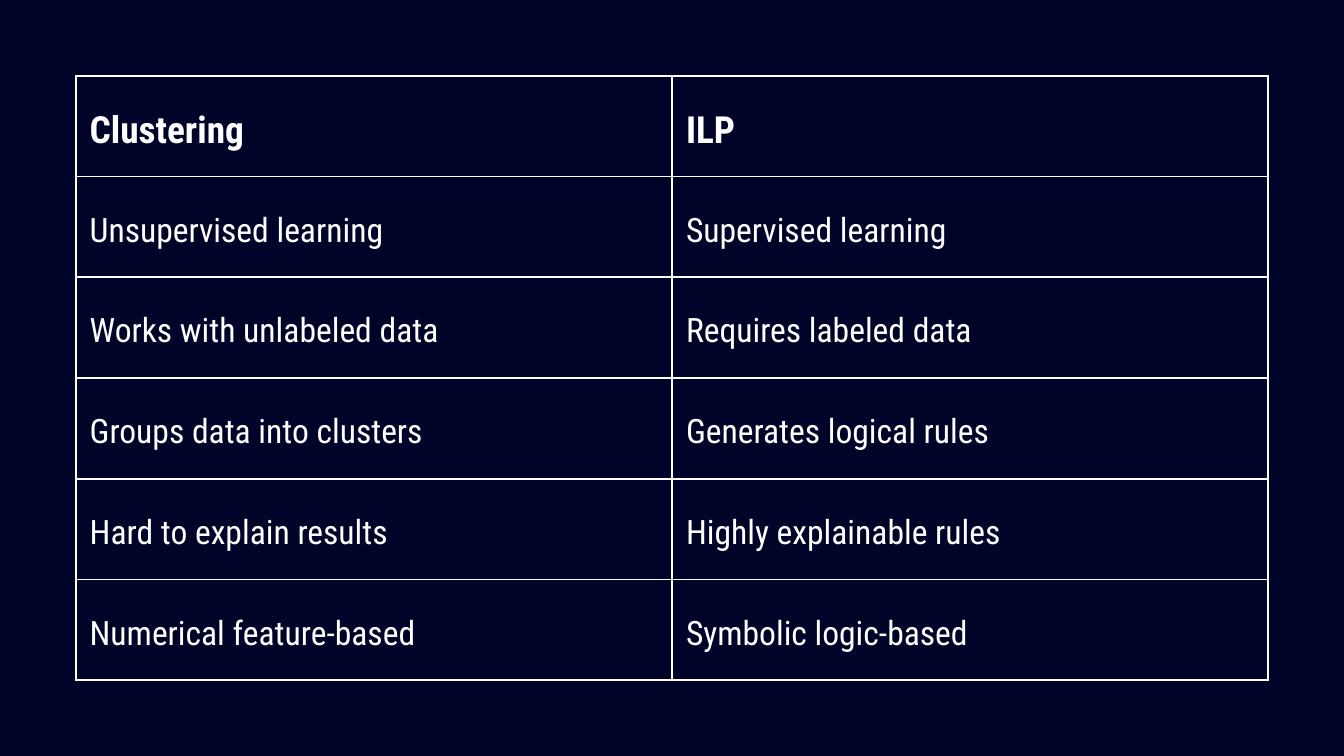
from dataclasses import dataclass

from lxml import etree
from pptx import Presentation
from pptx.dml.color import RGBColor
from pptx.enum.text import MSO_ANCHOR
from pptx.oxml.ns import qn
from pptx.util import Cm, Pt

MIDDLE = MSO_ANCHOR.MIDDLE


@dataclass(frozen=True)
class Theme:
    background: str = "000429"
    foreground: str = "FFFFFF"
    font: str = "Roboto Condensed"
    header_size: int = 40
    body_size: int = 36
    line_spacing: float = 1.4
    border: float = 2.25


THEME = Theme()
SLIDE_W, SLIDE_H = 50.8, 28.58
MARGIN = 2.86
ROW_H = 3.81
PADDING = 0.53

ROWS = [
    ("Clustering", "ILP"),
    ("Unsupervised learning", "Supervised learning"),
    ("Works with unlabeled data", "Requires labeled data"),
    ("Groups data into clusters", "Generates logical rules"),
    ("Hard to explain results", "Highly explainable rules"),
    ("Numerical feature-based", "Symbolic logic-based"),
]


def set_background(s):
    fill = s.background.fill
    fill.solid()
    fill.fore_color.rgb = RGBColor.from_string(THEME.background)


def add_borders(cell):
    """Draw all four sides; the lines must precede the fill in tcPr."""
    tcPr = cell._tc.get_or_add_tcPr()
    for i, side in enumerate(("a:lnL", "a:lnR", "a:lnT", "a:lnB")):
        ln = etree.Element(qn(side), w=str(Pt(THEME.border)))
        solid = etree.SubElement(ln, qn("a:solidFill"))
        etree.SubElement(solid, qn("a:srgbClr"), val=THEME.foreground)
        tcPr.insert(i, ln)


def fill_cell(cell, text, header):
    size = THEME.header_size if header else THEME.body_size
    cell.fill.background()
    cell.vertical_anchor = MIDDLE
    cell.margin_left = cell.margin_right = Cm(PADDING)
    cell.margin_top = cell.margin_bottom = Cm(PADDING)
    add_borders(cell)

    cell.text_frame.text = text
    p = cell.text_frame.paragraphs[0]
    p.line_spacing = Pt(size * THEME.line_spacing)
    font = p.runs[0].font
    font.name = THEME.font
    font.size = Pt(size)
    font.bold = header
    font.color.rgb = RGBColor.from_string(THEME.foreground)


def add_comparison_table(s, rows):
    width = SLIDE_W - 2 * MARGIN
    n_cols = len(rows[0])
    table = s.shapes.add_table(
        len(rows), n_cols, Cm(MARGIN), Cm(MARGIN), Cm(width), Cm(ROW_H * len(rows))
    ).table
    table.horz_banding = False
    for col in table.columns:
        col.width = Cm(width / n_cols)
    for i, texts in enumerate(rows):
        table.rows[i].height = Cm(ROW_H)
        for j, text in enumerate(texts):
            fill_cell(table.cell(i, j), text, header=i == 0)


def main():
    prs = Presentation()
    prs.slide_width, prs.slide_height = Cm(SLIDE_W), Cm(SLIDE_H)
    s = prs.slides.add_slide(prs.slide_layouts[6])
    set_background(s)
    add_comparison_table(s, ROWS)
    prs.save("out.pptx")


if __name__ == "__main__":
    main()
